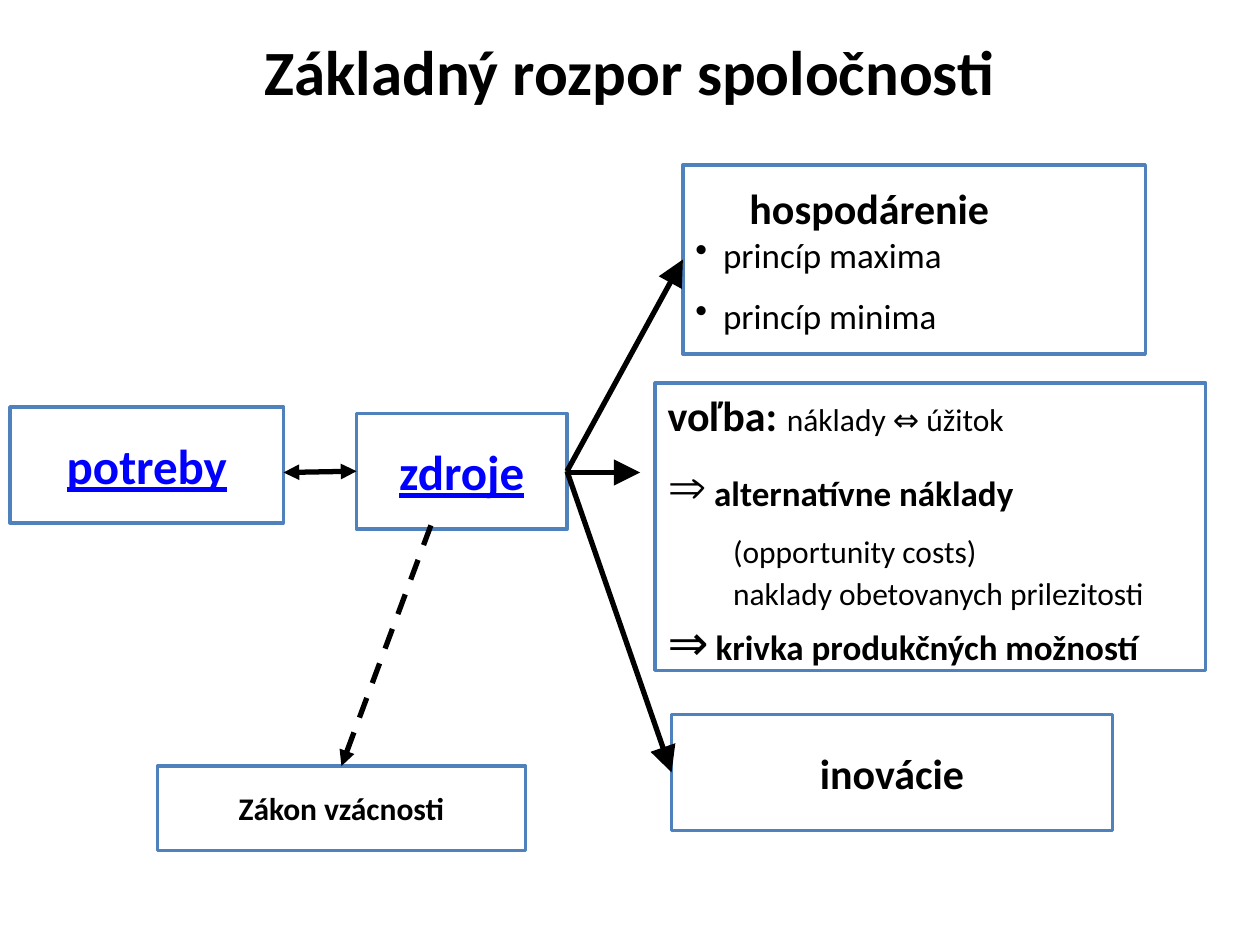
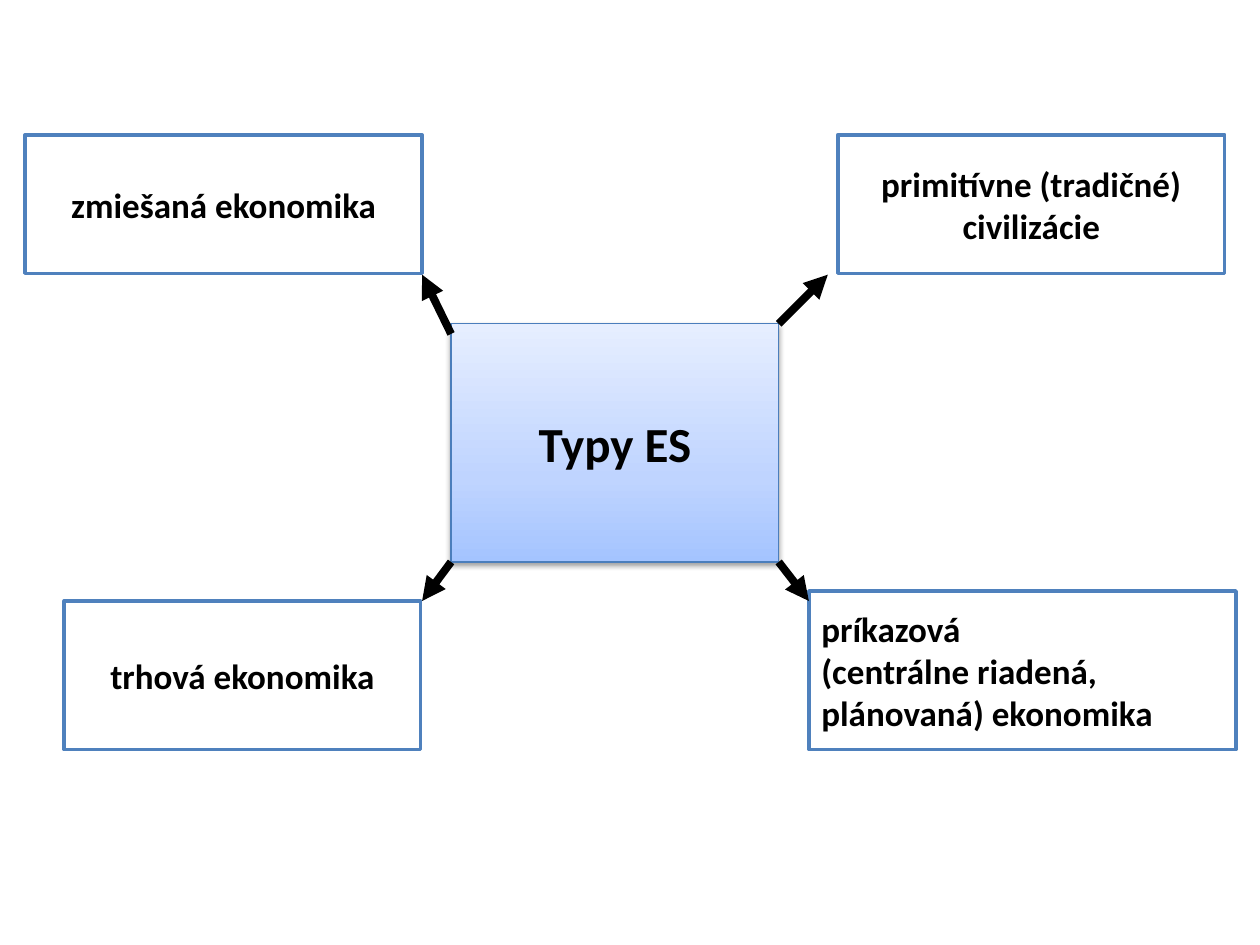
from lxml import etree
from pptx import Presentation
from pptx.dml.color import RGBColor
from pptx.enum import dml, shapes, text
from pptx.oxml import parse_xml
from pptx.oxml.ns import nsdecls, qn
from pptx.util import Inches, Pt

FONT = "Calibri"
BLACK, WHITE, BORDER, LINK = "000000", "FFFFFF", "4F81BD", "0000FF"
CENTER, LEFT = text.PP_ALIGN.CENTER, text.PP_ALIGN.LEFT
MIDDLE, TOP = text.MSO_ANCHOR.MIDDLE, text.MSO_ANCHOR.TOP
BOX_LEFT, BOX_RIGHT, BOX_TOP = 1, 3, 0


def para(*runs, **layout):
    """One paragraph: runs of (text, size, bold); layout: indent, before, bullet."""
    return {"runs": runs, **layout}


TITLE = [para(("Základný rozpor spoločnosti", 36, True))]
TITLE_AT = (0.75, 0.05, 8.5, 1.02)

CONFLICT_BOXES = {
    "potreby": dict(at=(0.08, 3.23, 2.17, 0.92), color=LINK,
                    paras=[para(("potreby", 28, True))]),
    "zdroje": dict(at=(2.83, 3.28, 1.67, 0.92), color=LINK,
                   paras=[para(("zdroje", 28, True))]),
    "hospodárenie": dict(at=(5.42, 1.31, 3.67, 1.5), align=LEFT, paras=[
        para(("hospodárenie", 24, True), indent=0.43),
        para(("princíp maxima", 20, False), indent=0.22, bullet="•"),
        para(("princíp minima", 20, False), indent=0.22, bullet="•", before=11),
    ]),
    "voľba": dict(at=(5.2, 3.04, 4.37, 2.28), align=LEFT, anchor=TOP, paras=[
        para(("voľba: ", 24, True), ("náklady ⇔ úžitok", 18, False)),
        para(("alternatívne náklady", 20, True), indent=0.37, bullet="⇒", before=18),
        para(("(opportunity costs)", 18, False), indent=0.52, before=11),
        para(("naklady obetovanych prilezitosti", 18, False), indent=0.52, before=2),
        para(("⇒", 28, False), (" ", 18, False), ("krivka produkčných možností", 20, True)),
    ]),
    "inovácie": dict(at=(5.33, 5.67, 3.5, 0.92), paras=[para(("inovácie", 24, True))]),
    "zákon": dict(at=(1.25, 6.08, 2.92, 0.67), paras=[para(("Zákon vzácnosti", 18, True))]),
}
# start, end, joined start (box, side), joined end, options
CONFLICT_ARROWS = [
    ((2.25, 3.75), (2.83, 3.75), None, ("zdroje", BOX_LEFT), dict(both=True)),
    ((4.5, 3.75), (5.08, 3.75), None, None, dict(head="lg")),
    ((4.5, 3.75), (5.39, 2.1), ("zdroje", BOX_RIGHT), ("hospodárenie", BOX_LEFT), dict(head="lg")),
    ((4.48, 3.75), (5.31, 6.11), ("zdroje", BOX_RIGHT), ("inovácie", BOX_LEFT), dict(head="lg")),
    ((3.42, 4.17), (2.75, 6.08), None, ("zákon", BOX_TOP), dict(dashed=True)),
]

SYSTEM_TYPES = [
    dict(at=(6.65, 1.07, 3.07, 1.1), lines=["primitívne (tradičné)", "civilizácie"]),
    dict(at=(6.42, 4.69, 3.39, 1.26), align=LEFT,
         lines=["príkazová", "(centrálne riadená,", "plánovaná) ekonomika"]),
    dict(at=(0.2, 1.07, 3.15, 1.1), lines=["zmiešaná ekonomika"]),
    dict(at=(0.51, 4.77, 2.83, 1.18), lines=["trhová ekonomika"]),
]
HUB = [para(("Typy ES", 28, True))]
HUB_AT = (3.58, 2.57, 2.6, 1.89)
HUB_STOPS = [(0, "A4C4FF"), (35, "BFD4FF"), (100, "E6EEFF")]
HUB_ARROWS = [((6.18, 2.57), (6.57, 2.18)), ((6.18, 4.46), (6.42, 4.77)),
              ((3.58, 4.46), (3.35, 4.77)), ((3.58, 2.65), (3.35, 2.18))]


def rgb(value):
    return RGBColor.from_string(value)


def set_indent(paragraph, indent, bullet):
    props = paragraph._p.get_or_add_pPr()
    props.set("marL", str(Inches(indent)))
    if not bullet:
        return
    props.set("indent", str(-Inches(indent)))
    if bullet == "⇒":
        etree.SubElement(props, qn("a:buSzPct")).set("val", "140000")
        etree.SubElement(props, qn("a:buFont")).set("typeface", "Symbol")
    etree.SubElement(props, qn("a:buChar")).set("char", bullet)


def write(shape, paras, align=CENTER, anchor=MIDDLE, color=BLACK):
    frame = shape.text_frame
    frame.word_wrap = True
    frame.vertical_anchor = anchor
    for index, item in enumerate(paras):
        paragraph = frame.add_paragraph() if index else frame.paragraphs[0]
        set_indent(paragraph, item.get("indent", 0), item.get("bullet"))
        paragraph.alignment = align
        paragraph.space_before = Pt(item.get("before", 0))
        for words, size, bold in item["runs"]:
            run = paragraph.add_run()
            run.text = words
            run.font.name, run.font.size, run.font.bold = FONT, Pt(size), bold
            run.font.color.rgb = rgb(color)
            if color == LINK:
                run.font.underline = True


def add_box(slide, at, paras, border=BORDER, width=2, **style):
    box = slide.shapes.add_shape(shapes.MSO_SHAPE.RECTANGLE, *map(Inches, at))
    box.shadow.inherit = False
    box.fill.solid()
    box.fill.fore_color.rgb = rgb(WHITE)
    box.line.color.rgb = rgb(border)
    box.line.width = Pt(width)
    write(box, paras, **style)
    return box


def add_arrow(slide, start, end, width=3, head="med", both=False, dashed=False):
    arrow = slide.shapes.add_connector(
        shapes.MSO_CONNECTOR.STRAIGHT, *map(Inches, start + end))
    arrow.line.color.rgb = rgb(BLACK)
    arrow.line.width = Pt(width)
    if dashed:
        arrow.line.dash_style = dml.MSO_LINE.DASH
    line = arrow.line._get_or_add_ln()
    for tag in ("a:headEnd", "a:tailEnd") if both else ("a:tailEnd",):
        tip = etree.SubElement(line, qn(tag))
        for key, value in (("type", "triangle"), ("w", head), ("len", head)):
            tip.set(key, value)
    etree.SubElement(arrow._element.spPr, qn("a:effectLst"))
    return arrow


def shade_hub(hub):
    """Give the hub its upward gradient and soft shadow below."""
    stops = "".join(f'<a:gs pos="{pos * 1000}"><a:srgbClr val="{color}"/></a:gs>'
                    for pos, color in HUB_STOPS)
    gradient = parse_xml(f'<a:gradFill {nsdecls("a")} rotWithShape="1"><a:gsLst>{stops}</a:gsLst>'
                         '<a:lin ang="16200000" scaled="0"/></a:gradFill>')
    props = hub._element.spPr
    props.replace(props.find(qn("a:solidFill")), gradient)
    shadow = parse_xml(
        f'<a:outerShdw {nsdecls("a")} blurRad="{Pt(3.1)}" dist="{Pt(1.6)}" dir="5400000" '
        f'rotWithShape="0"><a:srgbClr val="{BLACK}"><a:alpha val="38000"/></a:srgbClr></a:outerShdw>')
    props.find(qn("a:effectLst")).append(shadow)


def build_conflict(slide):
    write(slide.shapes.add_textbox(*map(Inches, TITLE_AT)), TITLE)
    boxes = {key: add_box(slide, **box) for key, box in CONFLICT_BOXES.items()}
    for start, end, source, target, options in CONFLICT_ARROWS:
        arrow = add_arrow(slide, start, end, **options)
        if source:
            arrow.begin_connect(boxes[source[0]], source[1])
        if target:
            arrow.end_connect(boxes[target[0]], target[1])


def build_types(slide):
    shade_hub(add_box(slide, HUB_AT, HUB, border="4B7EBC", width=0.75))
    for kind in SYSTEM_TYPES:
        paras = [para((line, 20, True)) for line in kind["lines"]]
        add_box(slide, kind["at"], paras, align=kind.get("align", CENTER))
    for start, end in HUB_ARROWS:
        add_arrow(slide, start, end, width=4.5)


def main():
    deck = Presentation()
    deck.slide_width, deck.slide_height = Inches(10), Inches(7.5)
    for build in (build_conflict, build_types):
        build(deck.slides.add_slide(deck.slide_layouts[6]))
    deck.save("out.pptx")


if __name__ == "__main__":
    main()
